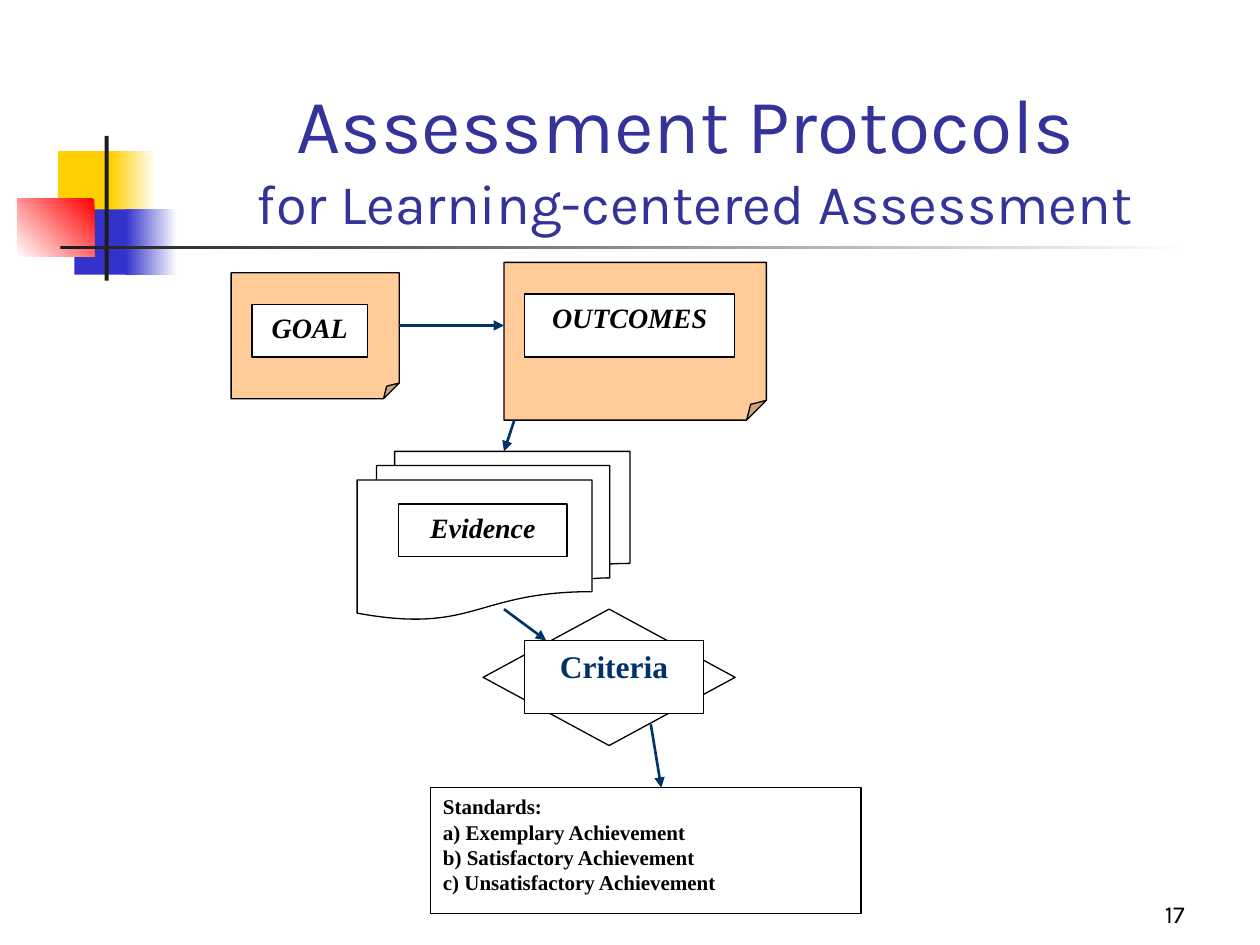
"""Build the Assessment Protocols flow slide."""
import pptx
import pptx.dml.color
import pptx.enum.shapes
import pptx.enum.text
import pptx.oxml
import pptx.oxml.ns
import pptx.util

Cm, Pt = pptx.util.Cm, pptx.util.Pt
MSO = pptx.enum.shapes.MSO_SHAPE
ALIGN = pptx.enum.text.PP_ALIGN
ANCHOR = pptx.enum.text.MSO_ANCHOR
NS = pptx.oxml.ns.nsdecls("a")
COLORS = {name: pptx.dml.color.RGBColor.from_string(value) for name, value in {
    "white": "FFFFFF", "black": "000000", "yellow": "FFCF01", "blue": "3333CC",
    "red": "FF0000", "dark": "1C1C1C", "title": "333399", "peach": "FFCC99",
    "navy": "003366"}.items()}

prs = pptx.Presentation()
prs.slide_width, prs.slide_height = Cm(25.4), Cm(19.05)
s = prs.slides.add_slide(prs.slide_layouts[5])


def add_box(kind, box, fill, line=None):
    sp = s.shapes.add_shape(kind, *map(Cm, box))
    sp.shadow.inherit = False
    sp.fill.solid()
    sp.fill.fore_color.rgb = COLORS[fill]
    if line:
        sp.line.color.rgb = COLORS[line]
        sp.line.width = Pt(0.75)
    else:
        sp.line.fill.background()
    return sp


def write(sp, lines, size, font, color, align, anchor, bold=False, italic=False):
    tf = sp.text_frame
    tf.word_wrap = True
    tf.vertical_anchor = anchor
    tf.text = "\n".join(lines)
    for p in tf.paragraphs:
        p.alignment = align
        p.font.size, p.font.name = Pt(size), font
        p.font.bold, p.font.italic = bold, italic
        p.font.color.rgb = COLORS[color]


decorations = [
    ((1.17, 3.05, 1.22, 1.32), "yellow", None, 0),
    ((2.24, 3.05, 0.91, 1.32), "yellow", "white", 0),
    ((1.5, 4.22, 1.17, 1.32), "blue", None, 0),
    ((2.54, 4.22, 1.02, 1.32), "blue", "white", 0),
    ((0.35, 4.01, 1.55, 1.17), "red", "white", 225),
    ((2.11, 2.74, 0.08, 2.92), "dark", None, 0),
    ((1.22, 4.95, 22.86, 0.08), "dark", "white", 0),
]
for box, start, end, angle in decorations:
    sp = add_box(MSO.RECTANGLE, box, start)
    if end:
        sp.fill.gradient()
        sp.fill.gradient_angle = angle
        for stop, color in zip(sp.fill.gradient_stops, (start, end)):
            stop.color.rgb = COLORS[color]

title = s.shapes.title
title.left, title.top, title.width, title.height = map(Cm, (3.2, 1.7, 21.64, 3.18))
tf = title.text_frame
tf.auto_size = pptx.enum.text.MSO_AUTO_SIZE.NONE
tf.vertical_anchor = ANCHOR.BOTTOM
p = tf.paragraphs[0]
p.alignment = ALIGN.CENTER
p.font.name = "Karla"
p.font.color.rgb = COLORS["title"]
r = p.add_run()
r.text = "Assessment Protocols "
r.font.size = Pt(44)
p.add_line_break()
r = p.add_run()
r.text = "for Learning-centered Assessment"
r.font.size = Pt(32)

stages = [
    (MSO.FOLDED_CORNER, (4.66, 5.5, 3.39, 2.54), "peach"),
    (MSO.FOLDED_CORNER, (10.16, 5.29, 5.29, 3.18), "peach"),
    (MSO.FLOWCHART_MULTIDOCUMENT, (7.2, 9.1, 5.5, 3.39), "white"),
]
for kind, box, fill in stages:
    sp = add_box(kind, box, fill, "black")
    if kind == MSO.FOLDED_CORNER:
        guides = sp._element.spPr.find(".//" + pptx.oxml.ns.qn("a:avLst"))
        guides.append(pptx.oxml.parse_xml(f'<a:gd {NS} name="adj" fmla="val 12500"/>'))

labels = [
    ("GOAL", (5.08, 6.14, 2.33, 1.06)),
    ("OUTCOMES", (10.58, 5.93, 4.23, 1.27)),
    ("Evidence", (8.04, 10.16, 3.39, 1.06)),
]
for text, box in labels:
    sp = add_box(MSO.RECTANGLE, box, "white", "black")
    write(sp, [text], 16, "Times New Roman", "black", ALIGN.CENTER, ANCHOR.TOP, True, True)

arrows = [
    (10.16, 12.28, 11.01, 12.91),
    (13.12, 14.6, 13.33, 15.88),
    (10.37, 8.47, 10.16, 9.1),
    (8.04, 6.56, 10.16, 6.56),
]
for ends in arrows:
    arrow = s.shapes.add_connector(pptx.enum.shapes.MSO_CONNECTOR.STRAIGHT, *map(Cm, ends))
    arrow.line.color.rgb = COLORS["navy"]
    arrow.line.width = Pt(1.5)
    props = arrow._element.spPr
    props.find(pptx.oxml.ns.qn("a:ln")).append(
        pptx.oxml.parse_xml(f'<a:tailEnd {NS} type="triangle"/>'))
    props.append(pptx.oxml.parse_xml(f"<a:effectLst {NS}/>"))

add_box(MSO.DIAMOND, (9.74, 12.28, 5.08, 2.75), "white", "black")
sp = add_box(MSO.RECTANGLE, (10.58, 12.91, 3.6, 1.48), "white", "black")
write(sp, ["Criteria"], 18, "Times New Roman", "navy", ALIGN.CENTER, ANCHOR.TOP, True)

standards = ["Standards:", "a) Exemplary Achievement", "b) Satisfactory Achievement",
             "c) Unsatisfactory Achievement"]
sp = add_box(MSO.RECTANGLE, (8.68, 15.88, 8.68, 2.54), "white", "black")
write(sp, standards, 12, "Times New Roman", "black", ALIGN.LEFT, ANCHOR.TOP, True)

number = s.shapes.add_textbox(*map(Cm, (18.84, 17.57, 5.29, 1.27)))
write(number, ["17"], 14, "Karla", "black", ALIGN.RIGHT, ANCHOR.BOTTOM)

prs.save("out.pptx")
